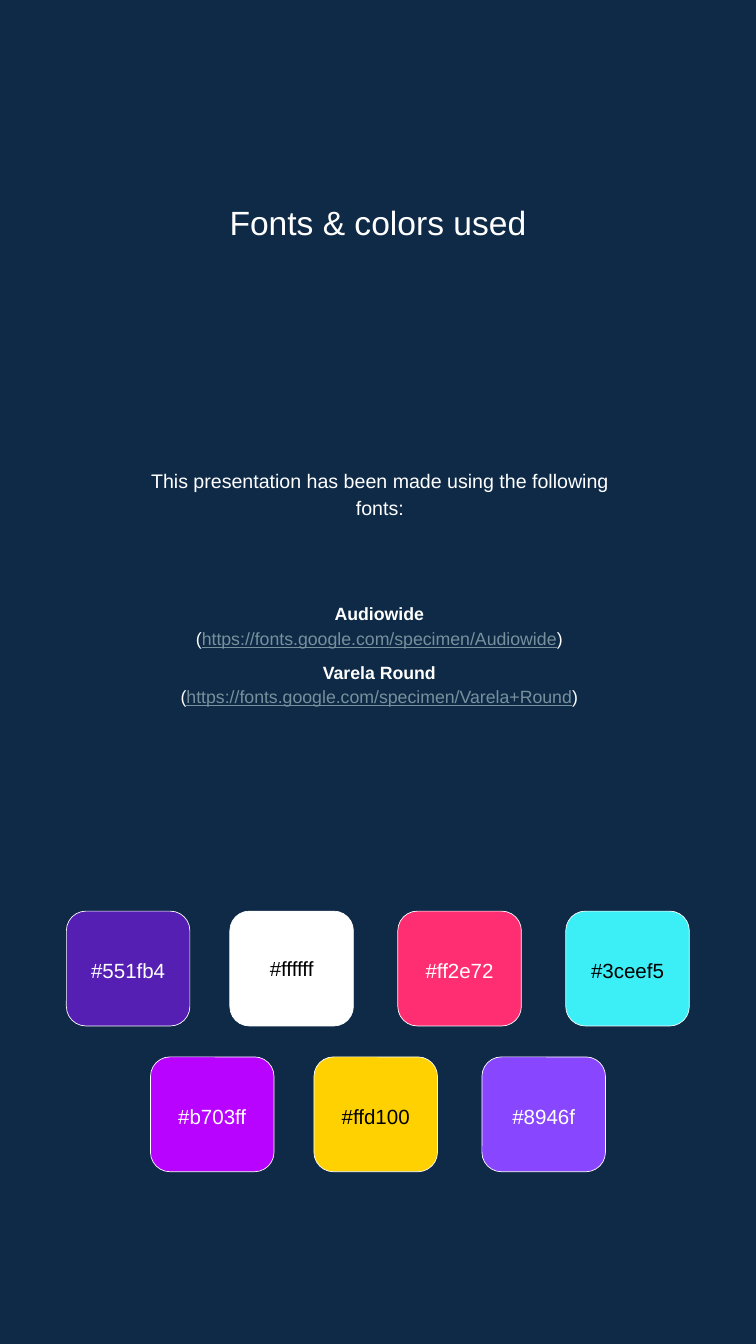
import dataclasses

import pptx
import pptx.dml.color
import pptx.enum.shapes
import pptx.enum.text
import pptx.util

Cm = pptx.util.Cm
PP_ALIGN = pptx.enum.text.PP_ALIGN
ANCHOR = pptx.enum.text.MSO_ANCHOR


@dataclasses.dataclass(frozen=True)
class Theme:
    font: str = "Arial"
    background: str = "0E2A47"
    light: str = "FFFFFF"
    dark: str = "000000"
    link: str = "78909C"
    title_size: int = 36
    intro_size: int = 21
    fonts_size: int = 19
    swatch_size: int = 22


theme = Theme()


def rgb(value):
    return pptx.dml.color.RGBColor.from_string(value)


def add_run(p, text, size, color=theme.light, bold=False, underline=False):
    r = p.add_run()
    r.text = text
    r.font.name = theme.font
    r.font.size = pptx.util.Pt(size)
    r.font.color.rgb = rgb(color)
    r.font.bold = bold
    r.font.underline = underline


prs = pptx.Presentation()
prs.slide_width, prs.slide_height = Cm(28.58), Cm(50.8)
s = prs.slides.add_slide(prs.slide_layouts[5])
s.background.fill.solid()
s.background.fill.fore_color.rgb = rgb(theme.background)

# Title, introduction and font list frames
title = s.shapes.title
title.left, title.top, title.width, title.height = Cm(3.28), Cm(7.24), Cm(22.02), Cm(4.78)
intro = s.shapes.add_textbox(Cm(5.23), Cm(17.2), Cm(18.26), Cm(4.34))
font_list = s.shapes.add_textbox(Cm(3.33), Cm(18.95), Cm(22.02), Cm(12.4))
for sp in (title, intro, font_list):
    tf = sp.text_frame
    tf.word_wrap = True
    tf.auto_size = pptx.enum.text.MSO_AUTO_SIZE.NONE
    tf.vertical_anchor = ANCHOR.TOP
    tf.margin_left = tf.margin_right = tf.margin_top = tf.margin_bottom = Cm(0.38)

# Title text
p = title.text_frame.paragraphs[0]
p.alignment = PP_ALIGN.CENTER
add_run(p, "Fonts & colors used", theme.title_size)

# Introduction text
p = intro.text_frame.paragraphs[0]
p.alignment = PP_ALIGN.CENTER
p.line_spacing = 1.15
add_run(p, "This presentation has been made using the following fonts:", theme.intro_size)

# Fonts with their addresses
tf = font_list.text_frame
tf.vertical_anchor = ANCHOR.MIDDLE
tf.margin_bottom = Cm(1.27)
fonts = [
    ("Audiowide", "https://fonts.google.com/specimen/Audiowide"),
    ("Varela Round", "https://fonts.google.com/specimen/Varela+Round"),
]
for i, (name, address) in enumerate(fonts):
    p = tf.add_paragraph() if i else tf.paragraphs[0]
    if i:
        p.space_before = pptx.util.Pt(10.6)
    add_run(p, name, theme.fonts_size, bold=True)
    p = tf.add_paragraph()
    add_run(p, "(", theme.fonts_size)
    add_run(p, address, theme.fonts_size, theme.link, underline=True)
    add_run(p, ")", theme.fonts_size)
for p in tf.paragraphs:
    p.alignment = PP_ALIGN.CENTER
    p.line_spacing = 1.15

# Color swatches: the second row is shifted by half a column
columns = [2.51, 8.69, 15.04, 21.39]
rows = [
    (34.44, 0, [("551FB4", "#551fb4", theme.light), ("FFFFFF", "#ffffff", theme.dark),
                ("FF2E72", "#ff2e72", theme.light), ("3CEEF5", "#3ceef5", theme.dark)]),
    (39.95, 3.18, [("B703FF", "#b703ff", theme.light), ("FFD100", "#ffd100", theme.dark),
                   ("8946FF", "#8946f", theme.light)]),
]
for top, shift, swatches in rows:
    for left, (fill, label, color) in zip(columns, swatches):
        sp = s.shapes.add_shape(pptx.enum.shapes.MSO_SHAPE.ROUNDED_RECTANGLE,
                                Cm(left + shift), Cm(top), Cm(4.67), Cm(4.34))
        sp.adjustments[0] = 0.17
        sp.shadow.inherit = False
        sp.fill.solid()
        sp.fill.fore_color.rgb = rgb(fill)
        sp.line.color.rgb = rgb(theme.light)
        sp.line.width = pptx.util.Pt(0.75)
        tf = sp.text_frame
        tf.word_wrap = True
        tf.vertical_anchor = ANCHOR.MIDDLE
        tf.margin_left = tf.margin_right = tf.margin_top = tf.margin_bottom = Cm(0.25)
        p = tf.paragraphs[0]
        p.alignment = PP_ALIGN.CENTER
        p.line_spacing = 1.0 if fill == theme.light else 1.15
        add_run(p, label, theme.swatch_size, color)

prs.save("out.pptx")
